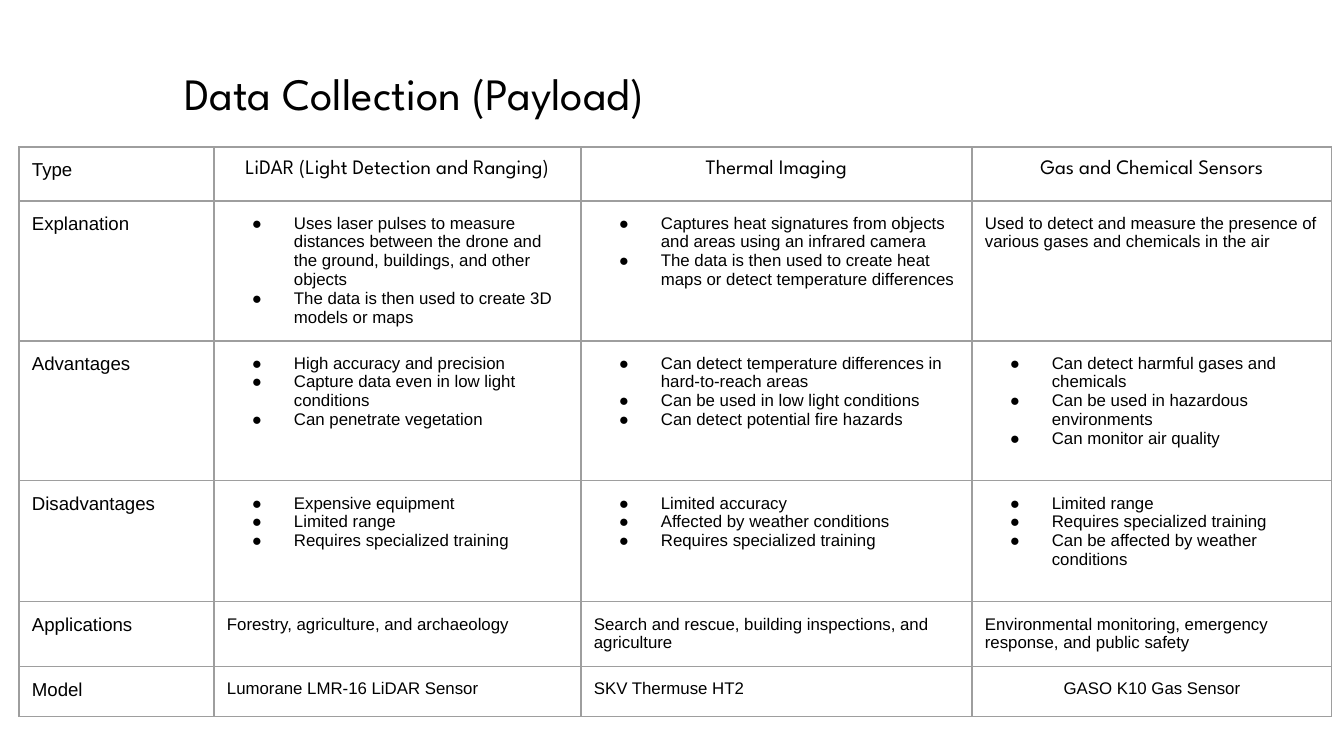
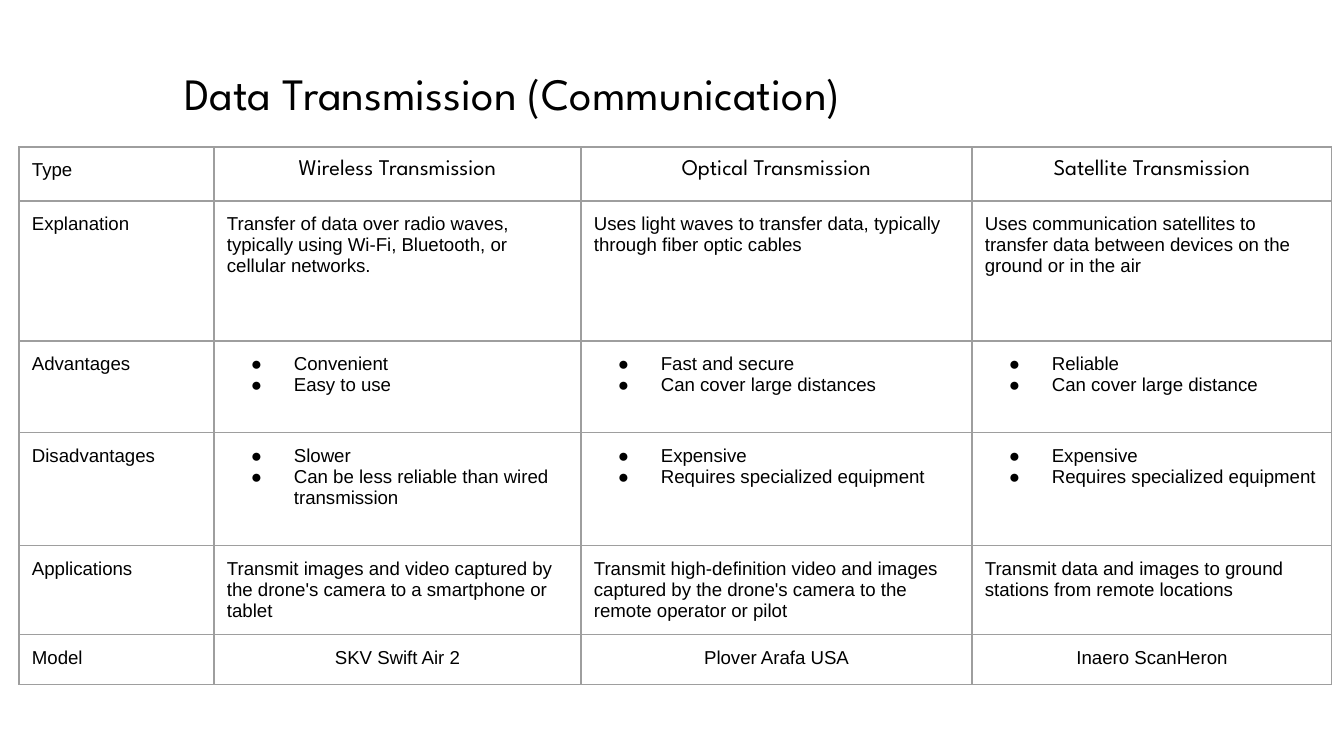
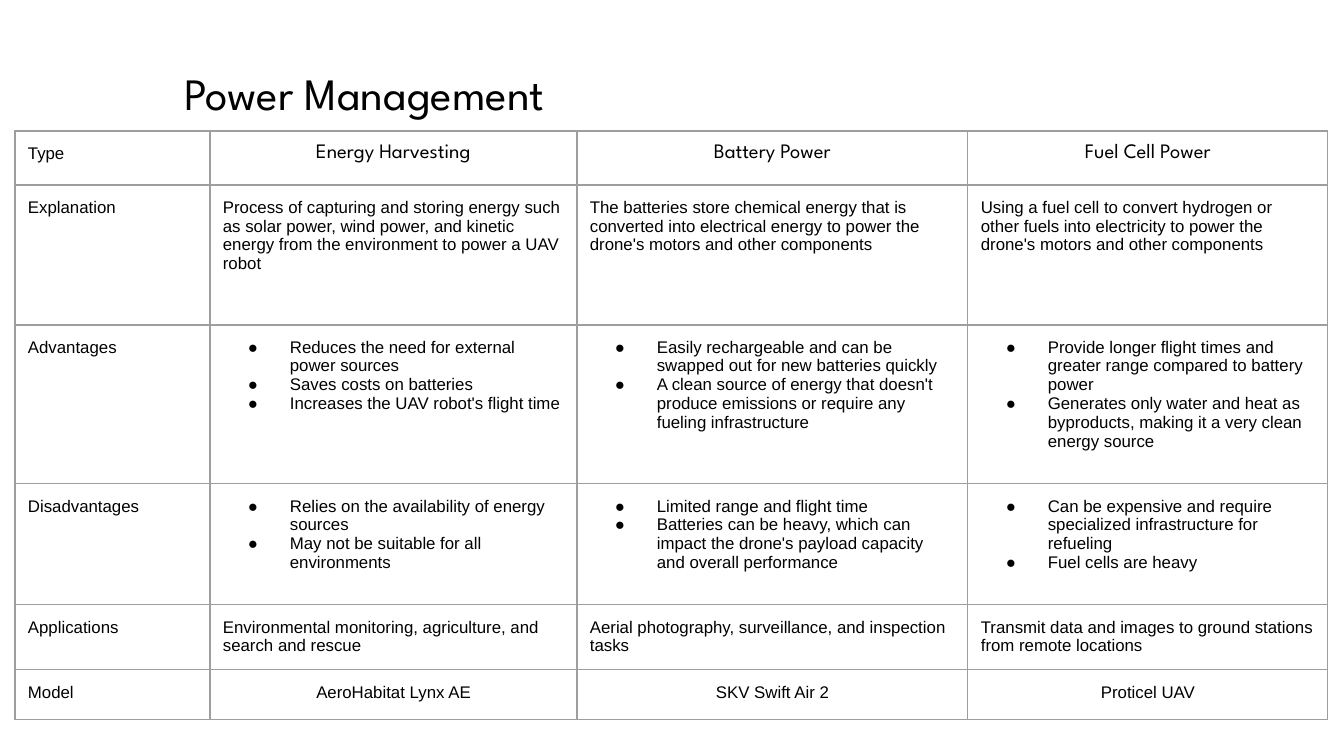
from dataclasses import dataclass

from lxml import etree
from pptx import Presentation
from pptx.dml.color import RGBColor
from pptx.enum.text import MSO_ANCHOR, MSO_AUTO_SIZE, PP_ALIGN
from pptx.oxml.ns import qn
from pptx.util import Emu, Pt

LEFT, CENTER = PP_ALIGN.LEFT, PP_ALIGN.CENTER
TOP, MIDDLE = MSO_ANCHOR.TOP, MSO_ANCHOR.MIDDLE
NO_AUTOFIT = MSO_AUTO_SIZE.NONE

EMU_PER_PX = 914400 / 134.4
SLIDE_WIDTH, SLIDE_HEIGHT = 1344, 756
TITLE_BOX = (171, 40, 742, 106)
COLUMN_WIDTHS = (195, 367, 391, 360)
INSET = 13
BULLET_MARGIN = 67
TITLE_ONLY = 5


@dataclass(frozen=True)
class TypeScale:
    label: int
    heading: int
    body: int
    bullet_hang: int


@dataclass(frozen=True)
class Theme:
    text: str = "000000"
    background: str = "FFFFFF"
    grid: str = "9E9E9E"
    grid_width: float = 0.75
    display_font: str = "League Spartan"
    body_font: str = "Arial"
    title_size: int = 24
    payload: TypeScale = TypeScale(10, 11, 9, 42)
    communication: TypeScale = TypeScale(10, 12, 10, 43)
    power: TypeScale = TypeScale(9, 11, 9, 42)


THEME = Theme()


@dataclass(frozen=True)
class Entry:
    lines: tuple[str, ...]
    bulleted: bool = False
    align: PP_ALIGN = LEFT


@dataclass(frozen=True)
class Criterion:
    label: str
    height: int
    entries: tuple[Entry, ...]


@dataclass(frozen=True)
class Comparison:
    title: str
    left: int
    top: int
    sizes: TypeScale
    criteria: tuple[Criterion, ...]


def plain(text: str) -> Entry:
    return Entry((text,))


def centred(text: str) -> Entry:
    return Entry((text,), align=CENTER)


def bullets(*lines: str) -> Entry:
    return Entry(lines, bulleted=True)


def criterion(label: str, height: int, *entries: Entry) -> Criterion:
    return Criterion(label, height, entries)


COMPARISONS = (
    Comparison("Data Collection (Payload)", 19, 147, THEME.payload, (
        criterion(
            "Type", 54,
            centred("LiDAR (Light Detection and Ranging)"),
            centred("Thermal Imaging"),
            centred("Gas and Chemical Sensors")),
        criterion(
            "Explanation", 140,
            bullets("Uses laser pulses to measure distances between the drone and "
                    "the ground, buildings, and other objects",
                    "The data is then used to create 3D models or maps"),
            bullets("Captures heat signatures from objects and areas using an "
                    "infrared camera",
                    "The data is then used to create heat maps or detect "
                    "temperature differences"),
            plain("Used to detect and measure the presence of various gases and "
                  "chemicals in the air")),
        criterion(
            "Advantages", 140,
            bullets("High accuracy and precision",
                    "Capture data even in low light conditions",
                    "Can penetrate vegetation"),
            bullets("Can detect temperature differences in hard-to-reach areas",
                    "Can be used in low light conditions",
                    "Can detect potential fire hazards"),
            bullets("Can detect harmful gases and chemicals",
                    "Can be used in hazardous environments",
                    "Can monitor air quality")),
        criterion(
            "Disadvantages", 121,
            bullets("Expensive equipment", "Limited range",
                    "Requires specialized training"),
            bullets("Limited accuracy", "Affected by weather conditions",
                    "Requires specialized training"),
            bullets("Limited range", "Requires specialized training",
                    "Can be affected by weather conditions")),
        criterion(
            "Applications", 65,
            plain("Forestry, agriculture, and archaeology"),
            plain("Search and rescue, building inspections, and agriculture"),
            plain("Environmental monitoring, emergency response, and public safety")),
        criterion(
            "Model", 50,
            plain("Lumorane LMR-16 LiDAR Sensor"),
            plain("SKV Thermuse HT2"),
            centred("GASO K10 Gas Sensor")),
    )),
    Comparison("Data Transmission (Communication)", 19, 147, THEME.communication, (
        criterion(
            "Type", 54,
            centred("Wireless Transmission"),
            centred("Optical Transmission"),
            centred("Satellite Transmission")),
        criterion(
            "Explanation", 140,
            plain("Transfer of data over radio waves, typically using Wi-Fi, "
                  "Bluetooth, or cellular networks."),
            plain("Uses light waves to transfer data, typically through fiber "
                  "optic cables"),
            plain("Uses communication satellites to transfer data between devices "
                  "on the ground or in the air")),
        criterion(
            "Advantages", 92,
            bullets("Convenient", "Easy to use"),
            bullets("Fast and secure", "Can cover large distances"),
            bullets("Reliable", "Can cover large distance")),
        criterion(
            "Disadvantages", 113,
            bullets("Slower", "Can be less reliable than wired transmission"),
            bullets("Expensive", "Requires specialized equipment"),
            bullets("Expensive", "Requires specialized equipment")),
        criterion(
            "Applications", 89,
            plain("Transmit images and video captured by the drone's camera to a "
                  "smartphone or tablet"),
            plain("Transmit high-definition video and images captured by the "
                  "drone's camera to the remote operator or pilot"),
            plain("Transmit data and images to ground stations from remote "
                  "locations")),
        criterion(
            "Model", 50,
            centred("SKV Swift Air 2"),
            centred("Plover Arafa USA"),
            centred("Inaero ScanHeron")),
    )),
    Comparison("Power Management", 15, 131, THEME.power, (
        criterion(
            "Type", 54,
            centred("Energy Harvesting"),
            centred("Battery Power"),
            centred("Fuel Cell Power")),
        criterion(
            "Explanation", 140,
            plain("Process of capturing and storing energy such as solar power, "
                  "wind power, and kinetic energy from the environment to power a "
                  "UAV robot"),
            plain("The batteries store chemical energy that is converted into "
                  "electrical energy to power the drone's motors and other "
                  "components"),
            plain("Using a fuel cell to convert hydrogen or other fuels into "
                  "electricity to power the drone's motors and other components")),
        criterion(
            "Advantages", 159,
            bullets("Reduces the need for external power sources",
                    "Saves costs on batteries",
                    "Increases the UAV robot's flight time"),
            bullets("Easily rechargeable and can be swapped out for new batteries "
                    "quickly",
                    "A clean source of energy that doesn't produce emissions or "
                    "require any fueling infrastructure"),
            bullets("Provide longer flight times and greater range compared to "
                    "battery power",
                    "Generates only water and heat as byproducts, making it a very "
                    "clean energy source")),
        criterion(
            "Disadvantages", 121,
            bullets("Relies on the availability of energy sources",
                    "May not be suitable for all environments"),
            bullets("Limited range and flight time",
                    "Batteries can be heavy, which can impact the drone's payload "
                    "capacity and overall performance"),
            bullets("Can be expensive and require specialized infrastructure for "
                    "refueling",
                    "Fuel cells are heavy")),
        criterion(
            "Applications", 65,
            plain("Environmental monitoring, agriculture, and search and rescue"),
            plain("Aerial photography, surveillance, and inspection tasks"),
            plain("Transmit data and images to ground stations from remote "
                  "locations")),
        criterion(
            "Model", 50,
            centred("AeroHabitat Lynx AE"),
            centred("SKV Swift Air 2"),
            centred("Proticel UAV")),
    )),
)


def px(length: int) -> Emu:
    return Emu(round(length * EMU_PER_PX))


def add_run(paragraph, text: str, size: int, font: str) -> None:
    run = paragraph.add_run()
    run.text = text
    run.font.size = Pt(size)
    run.font.name = font
    run.font.color.rgb = RGBColor.from_string(THEME.text)


def set_insets(holder) -> None:
    """Give a cell or text frame the same inset on all four sides."""
    holder.margin_left = holder.margin_right = px(INSET)
    holder.margin_top = holder.margin_bottom = px(INSET)


def add_bullet(paragraph, hang: int) -> None:
    properties = paragraph._p.get_or_add_pPr()
    properties.set("marL", str(px(BULLET_MARGIN)))
    properties.set("indent", str(-px(hang)))
    color = etree.SubElement(properties, qn("a:buClr"))
    etree.SubElement(color, qn("a:srgbClr"), val=THEME.text)
    etree.SubElement(properties, qn("a:buFont"), typeface=THEME.body_font)
    etree.SubElement(properties, qn("a:buChar"), char="●")


def add_borders(cell) -> None:
    properties = cell._tc.get_or_add_tcPr()
    for side in ("lnL", "lnR", "lnT", "lnB"):
        line = etree.SubElement(
            properties, qn(f"a:{side}"), w=str(Pt(THEME.grid_width)))
        fill = etree.SubElement(line, qn("a:solidFill"))
        etree.SubElement(fill, qn("a:srgbClr"), val=THEME.grid)


def fill_cell(cell, entry: Entry, size: int, font: str, hang: int) -> None:
    set_insets(cell)
    cell.vertical_anchor = TOP
    add_borders(cell)
    cell.fill.background()
    frame = cell.text_frame
    for index, line in enumerate(entry.lines):
        paragraph = frame.add_paragraph() if index else frame.paragraphs[0]
        paragraph.alignment = entry.align
        if entry.bulleted:
            add_bullet(paragraph, hang)
        add_run(paragraph, line, size, font)


def add_title(slide, text: str) -> None:
    title = slide.shapes.title
    title.left, title.top, title.width, title.height = map(px, TITLE_BOX)
    frame = title.text_frame
    frame.auto_size = NO_AUTOFIT
    frame.word_wrap = True
    frame.vertical_anchor = MIDDLE
    set_insets(frame)
    paragraph = frame.paragraphs[0]
    paragraph.alignment = LEFT
    add_run(paragraph, text, THEME.title_size, THEME.display_font)


def add_comparison_table(slide, comparison: Comparison) -> None:
    criteria, sizes = comparison.criteria, comparison.sizes
    table = slide.shapes.add_table(
        len(criteria), len(COLUMN_WIDTHS),
        px(comparison.left), px(comparison.top), px(sum(COLUMN_WIDTHS)),
        px(sum(item.height for item in criteria))).table
    table.first_row = table.horz_banding = False
    for column, width in zip(table.columns, COLUMN_WIDTHS):
        column.width = px(width)
    for row_index, item in enumerate(criteria):
        table.rows[row_index].height = px(item.height)
        for column_index, entry in enumerate((plain(item.label), *item.entries)):
            size, font = sizes.body, THEME.body_font
            if column_index == 0:
                size = sizes.label
            elif row_index == 0:
                size, font = sizes.heading, THEME.display_font
            fill_cell(table.cell(row_index, column_index), entry, size, font,
                      sizes.bullet_hang)


def add_comparison_slide(deck, comparison: Comparison) -> None:
    slide = deck.slides.add_slide(deck.slide_layouts[TITLE_ONLY])
    background = slide.background.fill
    background.solid()
    background.fore_color.rgb = RGBColor.from_string(THEME.background)
    add_title(slide, comparison.title)
    add_comparison_table(slide, comparison)


def main() -> None:
    deck = Presentation()
    deck.slide_width, deck.slide_height = px(SLIDE_WIDTH), px(SLIDE_HEIGHT)
    for comparison in COMPARISONS:
        add_comparison_slide(deck, comparison)
    deck.save("out.pptx")


if __name__ == "__main__":
    main()
